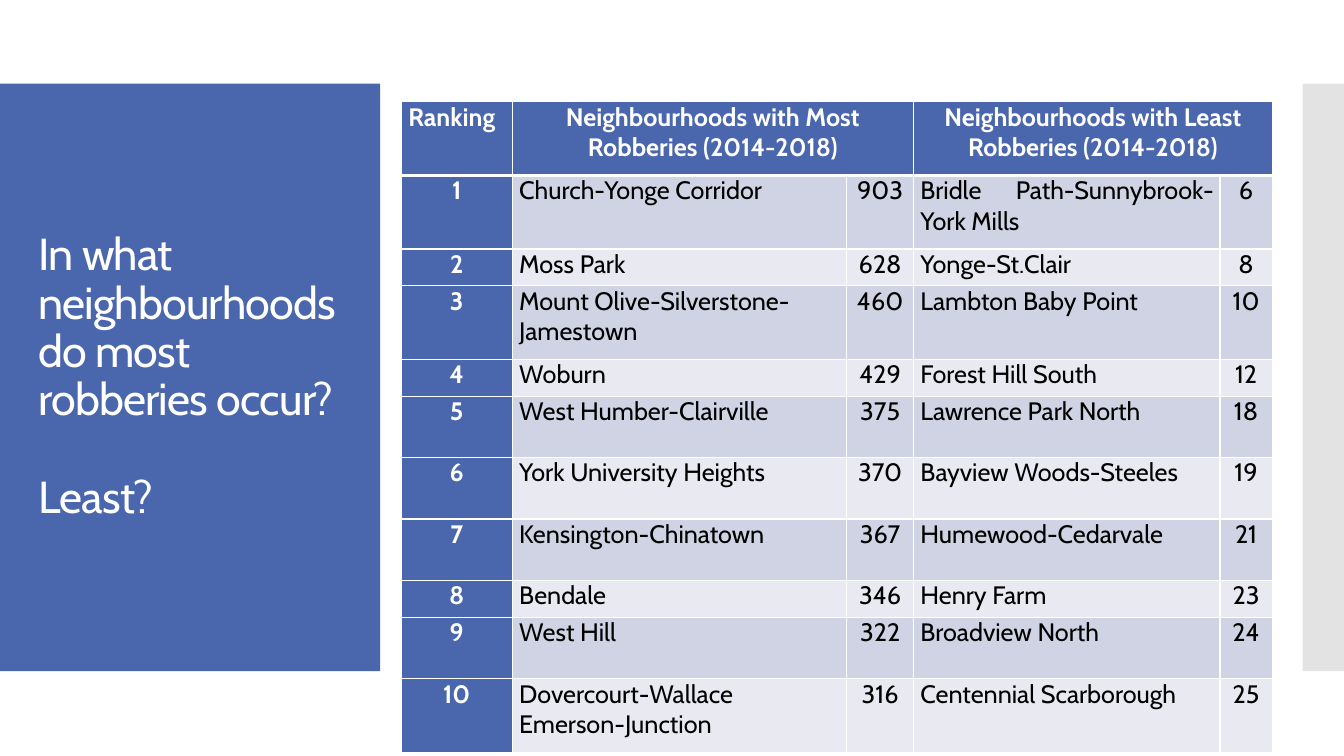
"""Build a slide that ranks neighbourhoods by most and least robberies."""
import lxml.etree
import pptx
import pptx.dml.color
import pptx.enum.shapes
import pptx.enum.text
import pptx.oxml.ns
import pptx.util

FONT = "Cabin"
BLUE, WHITE, BLACK = "4A66AC", "FFFFFF", "000000"
BANDS = ["D0D3E3", "E9EAF1"]
ALIGN = pptx.enum.text.PP_ALIGN
inch = pptx.util.Inches
qn = pptx.oxml.ns.qn


def rgb(code):
    return pptx.dml.color.RGBColor.from_string(code)


def write(para, text, size, color, bold=False):
    run = para.add_run()
    run.text = text
    run.font.name = FONT
    run.font.size = pptx.util.Pt(size)
    run.font.bold = bold
    run.font.color.rgb = rgb(color)
    return run


deck = pptx.Presentation()
deck.slide_width, deck.slide_height = inch(13.33), inch(7.5)
slide = deck.slides.add_slide(deck.slide_layouts[5])
title = slide.shapes.title

for left, width, color in [(0, 3.77, BLUE), (12.92, 0.41, "C8C8C8")]:
    panel = slide.shapes.add_shape(
        pptx.enum.shapes.MSO_SHAPE.RECTANGLE,
        inch(left), inch(0.83), inch(width), inch(5.83))
    panel.shadow.inherit = False
    panel.fill.solid()
    panel.fill.fore_color.rgb = rgb(color)
    panel.line.fill.background()
    title.element.addprevious(panel.element)
tint = panel.element.find(".//" + qn("a:srgbClr"))
lxml.etree.SubElement(tint, qn("a:alpha"), val="50000")

title.left, title.top = inch(0.28), inch(1.23)
title.width, title.height = inch(3.22), inch(5.03)
frame = title.text_frame
frame.word_wrap = True
frame.auto_size = pptx.enum.text.MSO_AUTO_SIZE.NONE
frame.vertical_anchor = pptx.enum.text.MSO_ANCHOR.MIDDLE
asks = ["In what neighbourhoods do most robberies occur?", "Least?"]
for i, ask in enumerate(asks):
    para = frame.add_paragraph() if i else frame.paragraphs[0]
    para.alignment = ALIGN.LEFT
    para.line_spacing = 0.9
    para.space_before = pptx.util.Pt(35 * i)
    run = write(para, ask, 32, WHITE)
    run.font.element.set("spc", "-60") if hasattr(run.font, "element") else \
        para.runs[0].font.fill and para.line_spacing
    for props in title.element.iter(qn("a:rPr")):
        props.set("spc", "-60")

heads = [
    (0, 0, ALIGN.JUSTIFY, ["Ranking"]),
    (1, 2, ALIGN.CENTER, ["Neighbourhoods with Most", "Robberies (2014-2018)"]),
    (3, 4, ALIGN.CENTER, ["Neighbourhoods with Least Robberies (2014-2018)"]),
]
ranks = [
    ("Church-Yonge Corridor", 903, "Bridle Path-Sunnybrook-York Mills", 6),
    ("Moss Park", 628, "Yonge-St.Clair", 8),
    ("Mount Olive-Silverstone-Jamestown", 460, "Lambton Baby Point", 10),
    ("Woburn", 429, "Forest Hill South", 12),
    ("West Humber-Clairville", 375, "Lawrence Park North", 18),
    ("York University Heights", 370, "Bayview Woods-Steeles", 19),
    ("Kensington-Chinatown", 367, "Humewood-Cedarvale", 21),
    ("Bendale", 346, "Henry Farm", 23),
    ("West Hill", 322, "Broadview North", 24),
    ("Dovercourt-Wallace Emerson-Junction", 316, "Centennial Scarborough", 25),
]
cols = [1.1, 3.32, 0.66, 3.04, 0.52]
tall, mid = 0.73, 0.61
low = tall / 2
rows = [tall, tall, low, tall, low, mid, mid, mid, low, mid, tall]
sides = [ALIGN.CENTER, ALIGN.LEFT, ALIGN.CENTER, ALIGN.JUSTIFY, ALIGN.CENTER]

grid = slide.shapes.add_table(
    len(rows), len(cols), inch(3.98), inch(1.01),
    inch(sum(cols)), inch(sum(rows))).table
grid.horz_banding = False
for col, width in zip(grid.columns, cols):
    col.width = inch(width)
for row, height in zip(grid.rows, rows):
    row.height = inch(height)

for r in range(len(rows)):
    for c in range(len(cols)):
        cell = grid.cell(r, c)
        cell.margin_left = cell.margin_right = inch(0.07)
        cell.margin_top = cell.margin_bottom = 0
        props = cell.fill and cell._tc.get_or_add_tcPr()
        for side in "LRTB":
            thick = (r, side) in [(0, "B"), (1, "T")]
            edge = lxml.etree.SubElement(
                props, qn("a:ln" + side), w=str(pptx.util.Pt(3 if thick else 1)))
            paint = lxml.etree.SubElement(edge, qn("a:solidFill"))
            lxml.etree.SubElement(paint, qn("a:srgbClr"), val=WHITE)
        cell.fill.solid()
        blue = r == 0 or c == 0
        cell.fill.fore_color.rgb = rgb(BLUE if blue else BANDS[(r - 1) % 2])
        if r:
            para = cell.text_frame.paragraphs[0]
            para.alignment = sides[c]
            text = str((r, *ranks[r - 1])[c])
            write(para, text, 18, WHITE if blue else BLACK, blue)

for first, last, side, lines in heads:
    cell = grid.cell(0, first)
    if last > first:
        cell.merge(grid.cell(0, last))
    for i, line in enumerate(lines):
        para = cell.text_frame.add_paragraph() if i else cell.text_frame.paragraphs[0]
        para.alignment = side
        write(para, line, 18, WHITE, True)

deck.save("out.pptx")
